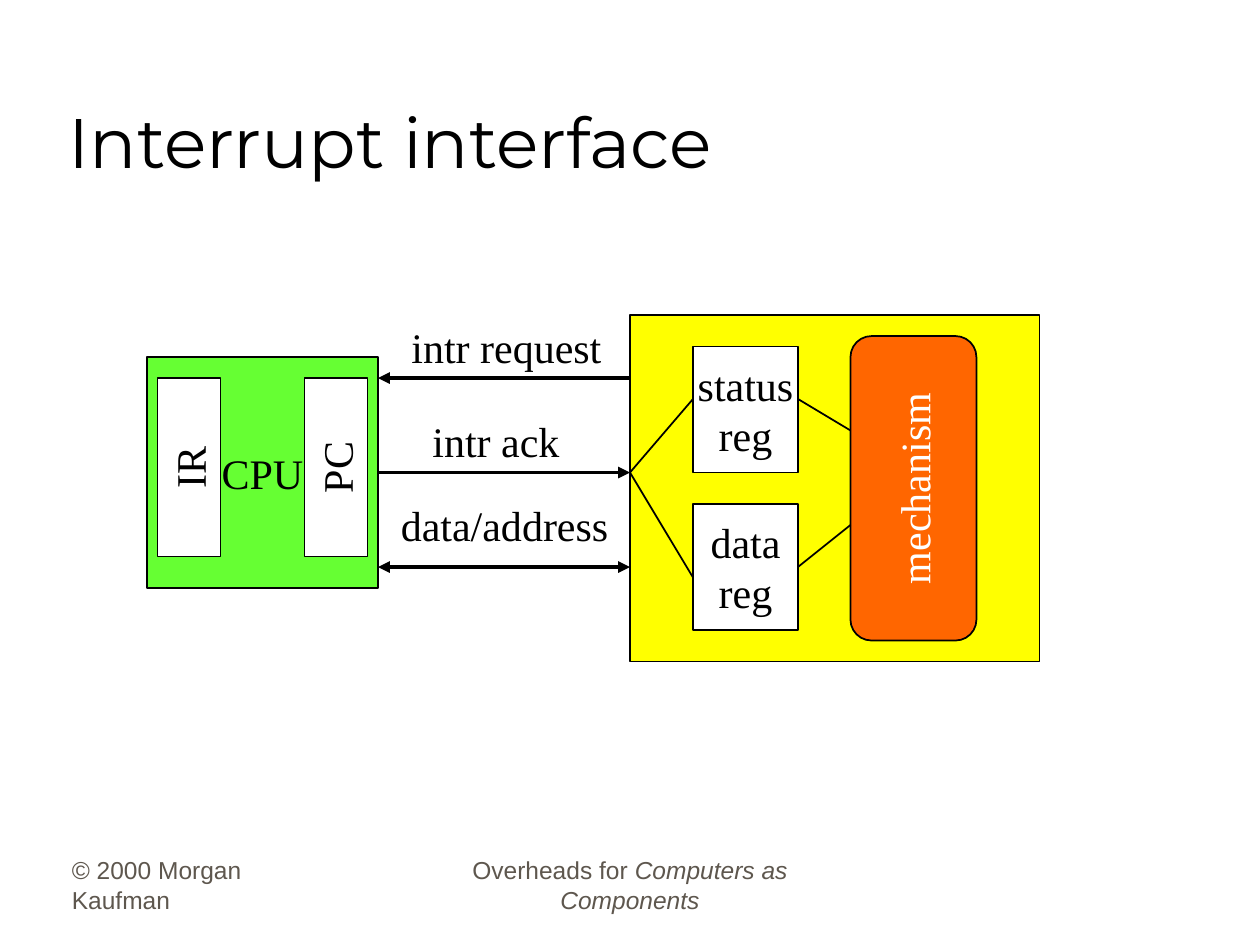
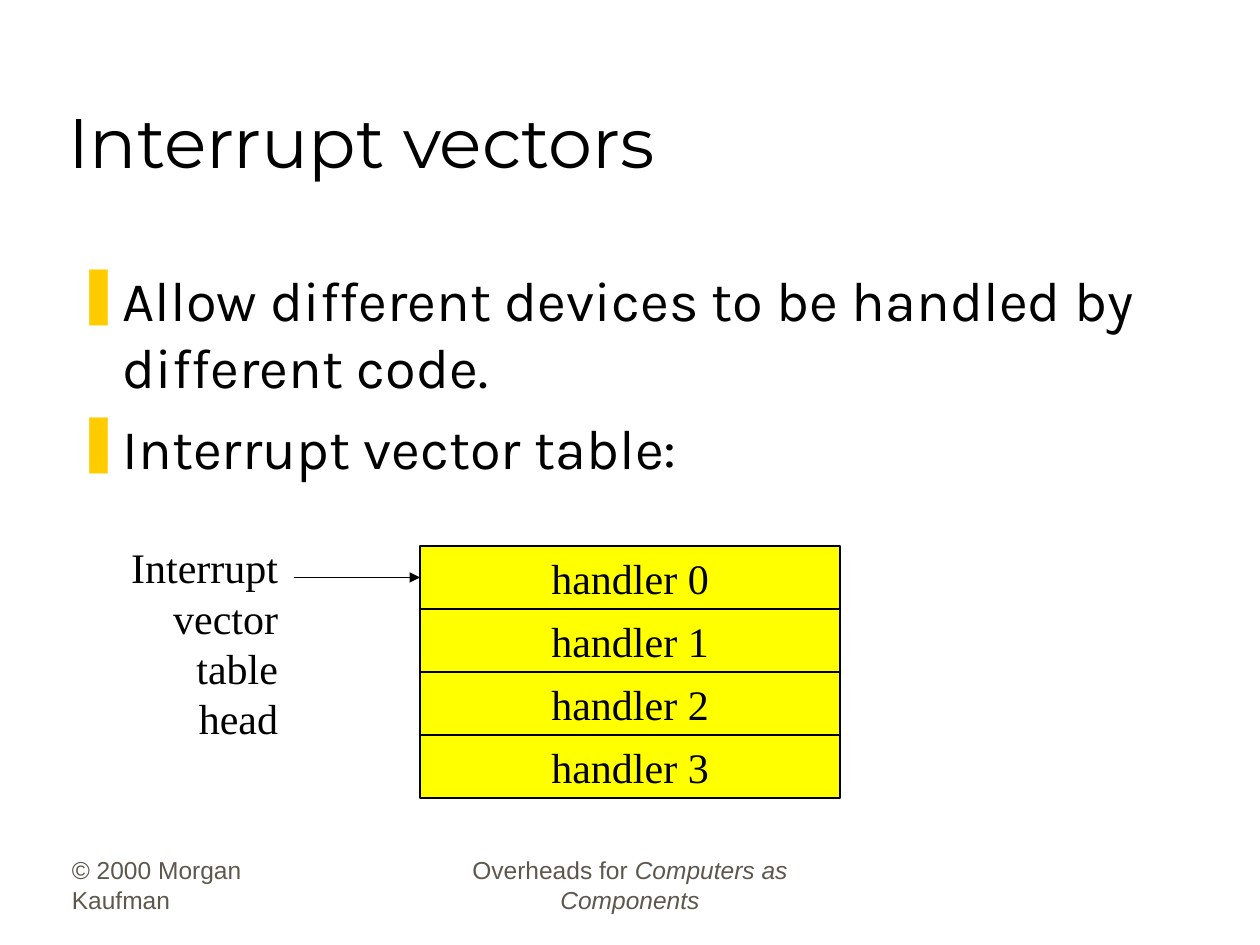
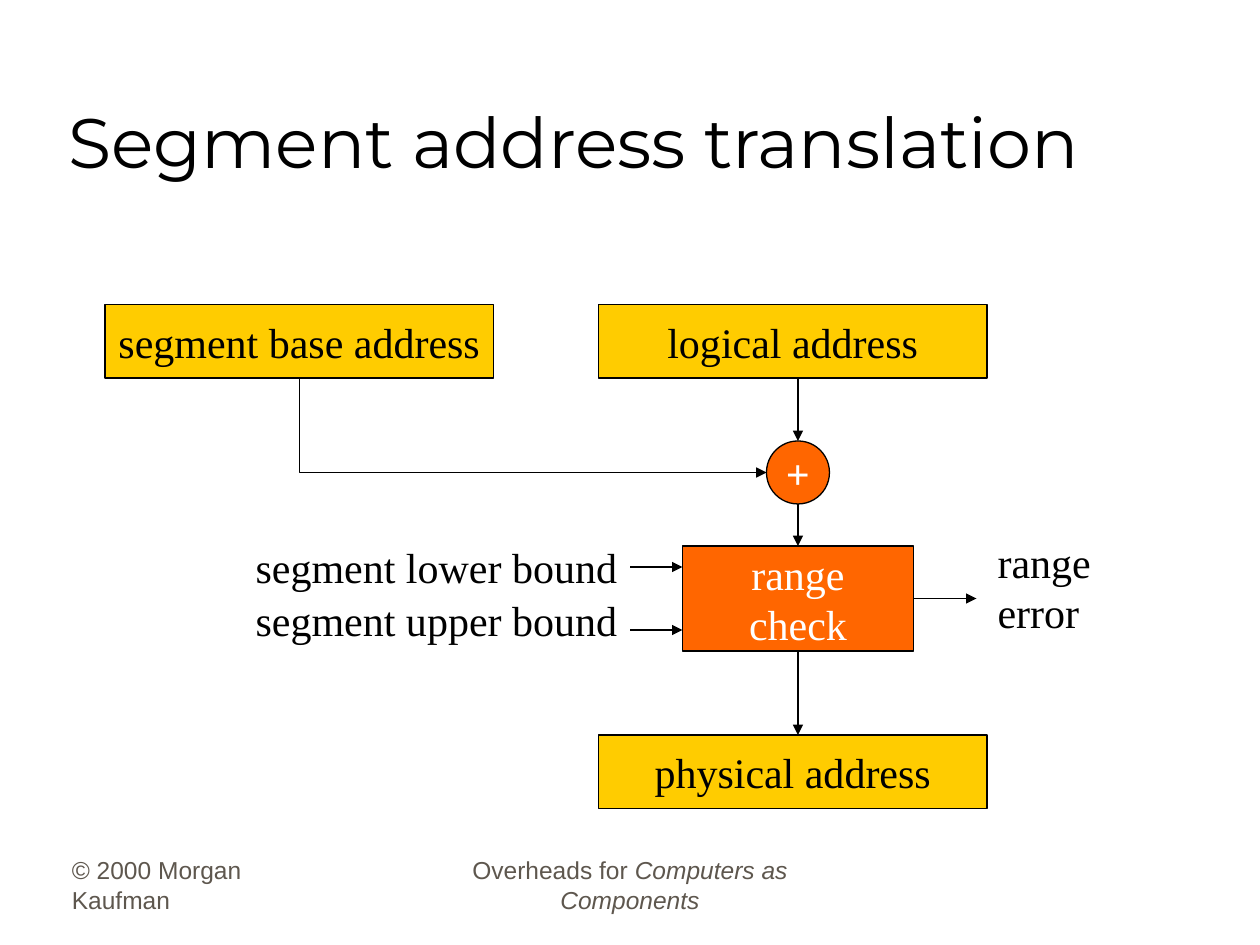
from lxml import etree
from pptx import Presentation
from pptx.dml.color import RGBColor
from pptx.enum import shapes, text
from pptx.oxml import ns
from pptx.util import Pt

BLACK = RGBColor(0x00, 0x00, 0x00)
WHITE = RGBColor(0xFF, 0xFF, 0xFF)
GREEN = RGBColor(0x66, 0xFF, 0x33)
YELLOW = RGBColor(0xFF, 0xFF, 0x00)
GOLD = RGBColor(0xFF, 0xCC, 0x00)
ORANGE = RGBColor(0xFF, 0x66, 0x00)
GREY = RGBColor(0x5E, 0x57, 0x4E)

RECT = shapes.MSO_SHAPE.RECTANGLE
LEFT, CENTER, RIGHT = text.PP_ALIGN.LEFT, text.PP_ALIGN.CENTER, text.PP_ALIGN.RIGHT


def add_box(page, words, place, fill=None, color=BLACK, align=CENTER, kind=RECT, line=1):
    """Add a filled shape, or a plain label when there is no fill; place is in points."""
    place = [Pt(value) for value in place]
    if fill is None:
        box = page.shapes.add_textbox(*place)
        box.text_frame.auto_size = text.MSO_AUTO_SIZE.SHAPE_TO_FIT_TEXT
    else:
        box = page.shapes.add_shape(kind, *place)
        box.shadow.inherit = False
        box.fill.solid()
        box.fill.fore_color.rgb = fill
        box.line.color.rgb = BLACK
        box.line.width = Pt(line)
        box.text_frame.vertical_anchor = text.MSO_ANCHOR.MIDDLE
    box.text_frame.word_wrap = False
    if words:
        box.text_frame.text = words
        for para in box.text_frame.paragraphs:
            para.alignment = align
            para.font.name = "Times New Roman"
            para.font.size = Pt(24)
            para.font.color.rgb = color
    return box


def add_line(page, ends, width, arrows=("tailEnd",), kind=shapes.MSO_CONNECTOR.STRAIGHT):
    """Connect two points; ends holds x1, y1, x2, y2 in points."""
    connector = page.shapes.add_connector(kind, *[Pt(value) for value in ends])
    connector.line.color.rgb = BLACK
    connector.line.width = Pt(width)
    properties = connector._element.spPr
    for arrow in arrows:
        etree.SubElement(properties.find(ns.qn("a:ln")), ns.qn("a:" + arrow), type="triangle")
    etree.SubElement(properties, ns.qn("a:effectLst"))
    return connector


deck = Presentation()
deck.slide_width, deck.slide_height = Pt(720), Pt(540)

# Titles and footers
FOOTERS = [
    (34, 150, LEFT, [("© 2000 Morgan Kaufman", False)]),
    (246, 228, CENTER, [("Overheads for ", False), ("Computers as Components", True)]),
]
pages = []
for heading in ["Interrupt interface", "Interrupt vectors", "Segment address translation"]:
    page = deck.slides.add_slide(deck.slide_layouts[5])
    pages.append(page)
    title = page.shapes.title
    title.left, title.top, title.width, title.height = Pt(32), Pt(18), Pt(612), Pt(90)
    title.text_frame.text = heading
    title.text_frame.vertical_anchor = text.MSO_ANCHOR.BOTTOM
    para = title.text_frame.paragraphs[0]
    para.alignment = LEFT
    para.font.name = "Montserrat"
    para.font.size = Pt(40)
    para.font.color.rgb = BLACK
    for left, width, align, spans in FOOTERS:
        footer = page.shapes.add_textbox(Pt(left), Pt(490), Pt(width), Pt(36))
        footer.text_frame.word_wrap = True
        footer.text_frame.vertical_anchor = text.MSO_ANCHOR.BOTTOM
        para = footer.text_frame.paragraphs[0]
        para.alignment = align
        para.font.name = "Arial"
        para.font.size = Pt(14)
        para.font.color.rgb = GREY
        for words, italic in spans:
            span = para.add_run()
            span.text = words
            if italic:
                span.font.italic = True
interface, vectors, segments = pages

# Interrupt interface: CPU on the left, device on the right
add_box(interface, "CPU", (84, 204, 132, 132), GREEN)
add_box(interface, "", (360, 180, 234, 198), YELLOW)
for words, top in [("status\nreg", 198), ("data\nreg", 288)]:
    add_box(interface, words, (396, top, 60, 72), WHITE)
mechanism = add_box(interface, "mechanism", (435, 243, 174, 72), ORANGE, WHITE,
                    kind=shapes.MSO_SHAPE.ROUNDED_RECTANGLE)
mechanism.rotation = 270
for words, left in [("PC", 141), ("IR", 57)]:
    add_box(interface, words, (left, 249, 102, 36), WHITE).rotation = 270
for ends in [(456, 228, 486, 246), (456, 324, 486, 300),
             (396, 228, 360, 270), (396, 330, 360, 270)]:
    add_line(interface, ends, 1, arrows=())
for words, place in [("intr request", (228, 180, 123, 36)),
                     ("intr ack", (240, 234, 87, 36)),
                     ("data/address", (222, 282, 133, 36))]:
    add_box(interface, words, place, align=LEFT)
add_line(interface, (216, 324, 360, 324), 2.25, arrows=("headEnd", "tailEnd"))
add_line(interface, (216, 270, 360, 270), 2.25)
add_line(interface, (360, 216, 216, 216), 2.25)

# Interrupt vectors: bullets above the handler table
body = vectors.shapes.add_textbox(Pt(36), Pt(148), Pt(644), Pt(140))
body.text_frame.word_wrap = True
body.text_frame.text = ("Allow different devices to be handled by different code.\n"
                        "Interrupt vector table:")
for index, para in enumerate(body.text_frame.paragraphs):
    if index:
        para.space_before = Pt(8)
    properties = para._p.get_or_add_pPr()
    properties.set("marL", str(Pt(27)))
    properties.set("indent", str(-Pt(27)))
    bullet_color = etree.SubElement(properties, ns.qn("a:buClr"))
    etree.SubElement(bullet_color, ns.qn("a:srgbClr"), val=str(GOLD))
    etree.SubElement(properties, ns.qn("a:buChar"), char="❚")
    para.font.name = "Karla"
    para.font.size = Pt(32)
    para.font.color.rgb = BLACK
for index in range(4):
    add_box(vectors, f"handler {index}", (240, 312 + 36 * index, 240, 36), YELLOW)
add_line(vectors, (168, 330, 240, 330), 1)
add_box(vectors, "Interrupt\nvector\ntable head", (54, 306, 112, 94), align=RIGHT)

# Segment address translation
for words, left, top in [("segment base address", 60, 174),
                         ("logical address", 342, 174),
                         ("physical address", 342, 420)]:
    add_box(segments, words, (left, top, 222, 42), GOLD, line=0.75)
add_box(segments, "range\ncheck", (390, 312, 132, 60), ORANGE, WHITE, line=0.75)
adder = add_box(segments, "+", (438, 252, 36, 36), ORANGE, WHITE,
                kind=shapes.MSO_SHAPE.OVAL, line=0.75)
adder.text_frame.paragraphs[0].font.bold = True
for ends in [(456, 216, 456, 252), (456, 288, 456, 312), (456, 372, 456, 420),
             (360, 324, 390, 324), (360, 360, 390, 360), (522, 342, 558, 342)]:
    add_line(segments, ends, 0.75)
# A single-bend elbow: its frame is turned to leave the base address downwards
elbow = add_line(segments, (331.5, 109.5, 277.5, 376.5), 0.75, kind=shapes.MSO_CONNECTOR.ELBOW)
elbow_properties = elbow._element.spPr
elbow_properties.find(ns.qn("a:prstGeom")).set("prst", "bentConnector2")
elbow_properties.find(ns.qn("a:xfrm")).set("rot", str(270 * 60000))
for words, place in [("range\nerror", (563, 303, 68, 65)),
                     ("segment lower bound", (139, 306, 221, 36)),
                     ("segment upper bound", (139, 336, 221, 36))]:
    add_box(segments, words, place, align=LEFT)

deck.save("out.pptx")
